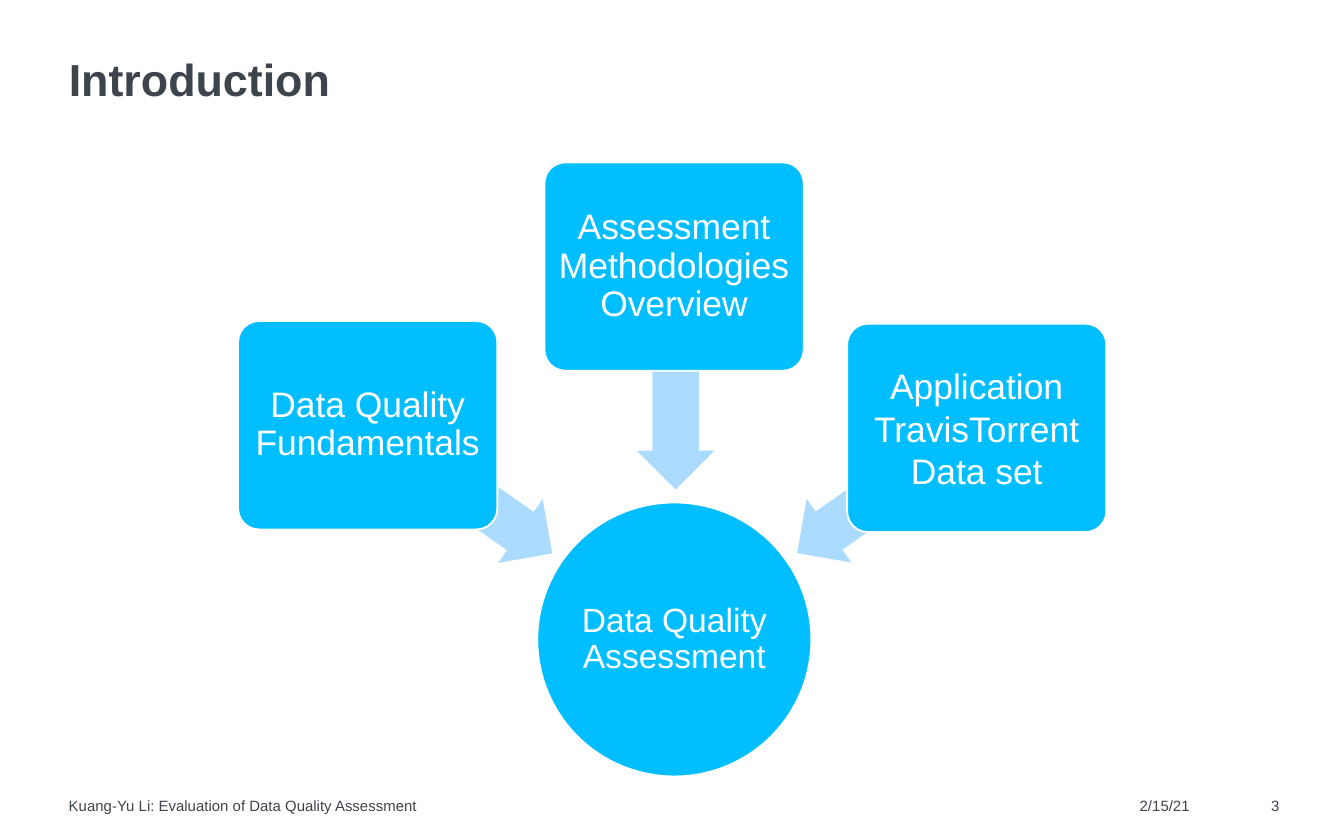
"""Build the introduction slide: three topics converging on data quality assessment."""
from pptx import Presentation
from pptx.dml.color import RGBColor
from pptx.enum import shapes, text
from pptx.util import Cm, Pt

WHITE = RGBColor(0xFF, 0xFF, 0xFF)
SKY = RGBColor(0x00, 0xBE, 0xFF)
PALE_SKY = RGBColor(0xAB, 0xDB, 0xFF)
SLATE = RGBColor(0x3E, 0x44, 0x4C)
FONT = "Arial"
CARD_WIDTH, CARD_HEIGHT = 4.9, 3.94
ARROW_HEIGHT = 1.47

TOPICS = [
    (0, 3, ["Data Quality Fundamentals"], 0.9, (2.08, 5.44, 4.24, 215)),
    (5.79, 0, ["Assessment Methodologies Overview"], 0.9, (6.15, 3.33, 4.24, 270)),
    (11.51, 3.05, ["Application", "TravisTorrent", "Data set"], 1.0,
     (10.19, 5.46, 4.14, 324.9)),
]


def set_text(frame, lines, size, color, align, margin=0, spacing=1.0, bold=False):
    """Fill a text frame with evenly styled paragraphs."""
    frame.word_wrap = True
    frame.margin_left = frame.margin_right = Cm(margin)
    frame.margin_top = frame.margin_bottom = Cm(margin)
    frame.text = "\n".join(lines)
    for paragraph in frame.paragraphs:
        paragraph.alignment = align
        paragraph.line_spacing = spacing
        paragraph.font.name = FONT
        paragraph.font.size = Pt(size)
        paragraph.font.bold = bold
        paragraph.font.color.rgb = color


def add_filled(slide, kind, box, fill, outline=None):
    """Add a flat preset shape, outlined only when a colour is given."""
    shape = slide.shapes.add_shape(kind, *map(Cm, box))
    shape.shadow.inherit = False
    shape.fill.solid()
    shape.fill.fore_color.rgb = fill
    if outline is None:
        shape.line.fill.background()
    else:
        shape.line.color.rgb = outline
        shape.line.width = Pt(1)
    return shape


def add_label(shape, lines, size, margin, spacing):
    """Centre white text in a shape."""
    shape.text_frame.vertical_anchor = text.MSO_ANCHOR.MIDDLE
    set_text(shape.text_frame, lines, size, WHITE, text.PP_ALIGN.CENTER, margin, spacing)


def add_title(slide, left, top, width, height):
    """Place the heading in the title placeholder."""
    title = slide.shapes.title
    title.left, title.top, title.width, title.height = map(Cm, (left, top, width, height))
    title.text_frame.vertical_anchor = text.MSO_ANCHOR.TOP
    title.text_frame.auto_size = text.MSO_AUTO_SIZE.NONE
    set_text(title.text_frame, ["Introduction"], 24, SLATE, text.PP_ALIGN.LEFT,
             spacing=0.9, bold=True)


def add_diagram(slide, left, top, width, height):
    """Draw the topic cards with arrows converging on the goal circle."""
    diameter = 5.18
    goal = add_filled(slide, shapes.MSO_SHAPE.OVAL,
                      (left + (width - diameter) / 2 + 0.04, top + height - diameter,
                       diameter, diameter), SKY, WHITE)
    add_label(goal, ["Data Quality Assessment"], 18, 0.03, 0.9)

    for x, y, lines, spacing, (arrow_x, arrow_y, length, angle) in TOPICS:
        arrow = add_filled(slide, shapes.MSO_SHAPE.LEFT_ARROW,
                           (left + arrow_x, top + arrow_y, length, ARROW_HEIGHT), PALE_SKY)
        arrow.adjustments[0], arrow.adjustments[1] = 0.6, 0.5
        arrow.rotation = angle
        card = add_filled(slide, shapes.MSO_SHAPE.ROUNDED_RECTANGLE,
                          (left + x, top + y, CARD_WIDTH, CARD_HEIGHT), SKY, WHITE)
        card.adjustments[0] = 0.1
        add_label(card, lines, 19, 0.1, spacing)


def add_footer(slide, left, top, width, height):
    """Set the author line, date and page number along the bottom."""
    number_width = 0.61
    entries = [
        ("Kuang-Yu Li: Evaluation of Data Quality Assessment", 0, 16.84, text.PP_ALIGN.LEFT),
        ("2/15/21", 20.24, 1.47, text.PP_ALIGN.LEFT),
        ("3", width - number_width, number_width, text.PP_ALIGN.RIGHT),
    ]
    for entry, x, entry_width, align in entries:
        box = slide.shapes.add_textbox(Cm(left + x), Cm(top), Cm(entry_width), Cm(height))
        set_text(box.text_frame, [entry], 8, SLATE, align)


def main():
    """Assemble and save the slide."""
    deck = Presentation()
    deck.slide_width, deck.slide_height = Cm(25.4), Cm(15.88)
    slide = deck.slides.add_slide(deck.slide_layouts.get_by_name("Title Only"))
    add_title(slide, 1.3, 1.09, 22.91, 1.6)
    add_diagram(slide, 4.5, 3.07, 16.41, 11.61)
    add_footer(slide, 1.3, 15.06, 22.88, 0.36)
    deck.save("out.pptx")


if __name__ == "__main__":
    main()
